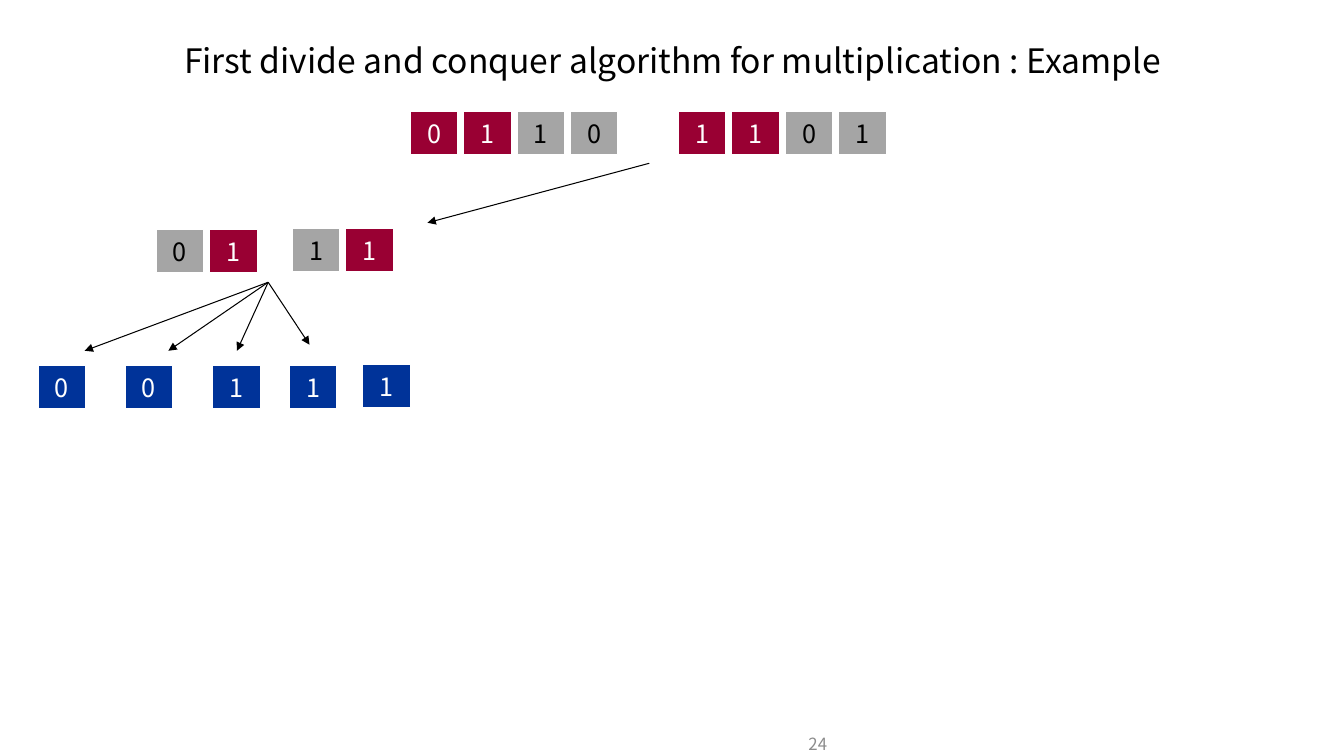
from typing import NamedTuple

from lxml import etree
from pptx import Presentation
from pptx import util as u
from pptx.dml.color import RGBColor
from pptx.enum import shapes, text
from pptx.oxml import ns

PX = 9144
FONT = "Noto Sans CJK SC"
COLORS = {
    "red": "990033",
    "gray": "A5A5A5",
    "blue": "003399",
    "white": "FFFFFF",
    "black": "000000",
    "number": "8C8C8C",
}
DIGIT_WIDTH, DIGIT_HEIGHT = 47, 42
DIGIT_STEP = 53


class DigitGroup(NamedTuple):
    left: int
    top: int
    digits: str
    fills: tuple[str, ...]


class Arrow(NamedTuple):
    start: tuple[int, int]
    end: tuple[int, int]


class Label(NamedTuple):
    content: str
    box: tuple[int, int, int, int]
    size: int
    color: str
    align: text.PP_ALIGN
    anchor: text.MSO_ANCHOR
    inset: int
    spacing: float


FACTOR_FILLS = ("red", "red", "gray", "gray")
HALF_FILLS = ("gray", "red")
GROUPS = [
    DigitGroup(407, 111, "0110", FACTOR_FILLS),
    DigitGroup(673, 111, "1101", FACTOR_FILLS),
    DigitGroup(155, 228, "01", HALF_FILLS),
    DigitGroup(290, 227, "11", HALF_FILLS),
    DigitGroup(38, 363, "0", ("blue",)),
    DigitGroup(124, 363, "0", ("blue",)),
    DigitGroup(211, 363, "1", ("blue",)),
    DigitGroup(287, 363, "1", ("blue",)),
    DigitGroup(360, 362, "1", ("blue",)),
]
SPLIT_POINT = (266, 280)
PRODUCT_ENDS = [(84, 348), (167, 348), (235, 348), (307, 342)]
ARROWS = [Arrow((644, 162), (424, 221))]
ARROWS += [Arrow(SPLIT_POINT, end) for end in PRODUCT_ENDS]
LABELS = [
    Label("24", (792, 725, 208, 25), 12, "number",
          text.PP_ALIGN.LEFT, text.MSO_ANCHOR.MIDDLE, 10, 1.0),
    Label("First divide and conquer algorithm for multiplication : Example",
          (167, 29, 1000, 50), 24, "black",
          text.PP_ALIGN.CENTER, text.MSO_ANCHOR.BOTTOM, 0, 0.7),
]


def px(length: int) -> u.Emu:
    return u.Emu(length * PX)


def color(name: str) -> RGBColor:
    return RGBColor.from_string(COLORS[name])


def add_run(paragraph, content: str, size: int, color_name: str) -> None:
    run = paragraph.add_run()
    run.text = content
    run.font.name = FONT
    run.font.size = u.Pt(size)
    run.font.color.rgb = color(color_name)


def add_label(slide, label: Label) -> None:
    frame = slide.shapes.add_textbox(*map(px, label.box)).text_frame
    frame.word_wrap = True
    frame.vertical_anchor = label.anchor
    frame.margin_left = frame.margin_right = px(label.inset)
    frame.margin_top = frame.margin_bottom = 0
    paragraph = frame.paragraphs[0]
    paragraph.alignment = label.align
    paragraph.line_spacing = label.spacing
    add_run(paragraph, label.content, label.size, label.color)


def add_digit(slide, left: int, top: int, digit: str, fill: str) -> None:
    shape = slide.shapes.add_shape(
        shapes.MSO_SHAPE.RECTANGLE,
        px(left), px(top), px(DIGIT_WIDTH), px(DIGIT_HEIGHT))
    shape.shadow.inherit = False
    shape.fill.solid()
    shape.fill.fore_color.rgb = color(fill)
    shape.line.color.rgb = color("white")
    shape.line.width = u.Pt(0.75)
    frame = shape.text_frame
    frame.word_wrap = False
    frame.vertical_anchor = text.MSO_ANCHOR.MIDDLE
    paragraph = frame.paragraphs[0]
    paragraph.alignment = text.PP_ALIGN.CENTER
    add_run(paragraph, digit, 18, "black" if fill == "gray" else "white")


def add_group(slide, group: DigitGroup) -> None:
    for index, (digit, fill) in enumerate(zip(group.digits, group.fills)):
        add_digit(slide, group.left + index * DIGIT_STEP, group.top, digit, fill)


def add_arrow(slide, arrow: Arrow) -> None:
    connector = slide.shapes.add_connector(
        shapes.MSO_CONNECTOR.STRAIGHT,
        *map(px, arrow.start), *map(px, arrow.end))
    connector.line.color.rgb = color("black")
    connector.line.width = u.Pt(0.75)
    properties = connector.element.spPr
    outline = properties.find(ns.qn("a:ln"))
    etree.SubElement(outline, ns.qn("a:tailEnd"), type="triangle")
    etree.SubElement(properties, ns.qn("a:effectLst"))


def main() -> None:
    presentation = Presentation()
    presentation.slide_width = px(1333)
    presentation.slide_height = px(750)
    slide = presentation.slides.add_slide(presentation.slide_layouts[6])
    for label in LABELS:
        add_label(slide, label)
    for arrow in ARROWS:
        add_arrow(slide, arrow)
    for group in GROUPS:
        add_group(slide, group)
    presentation.save("out.pptx")


if __name__ == "__main__":
    main()
